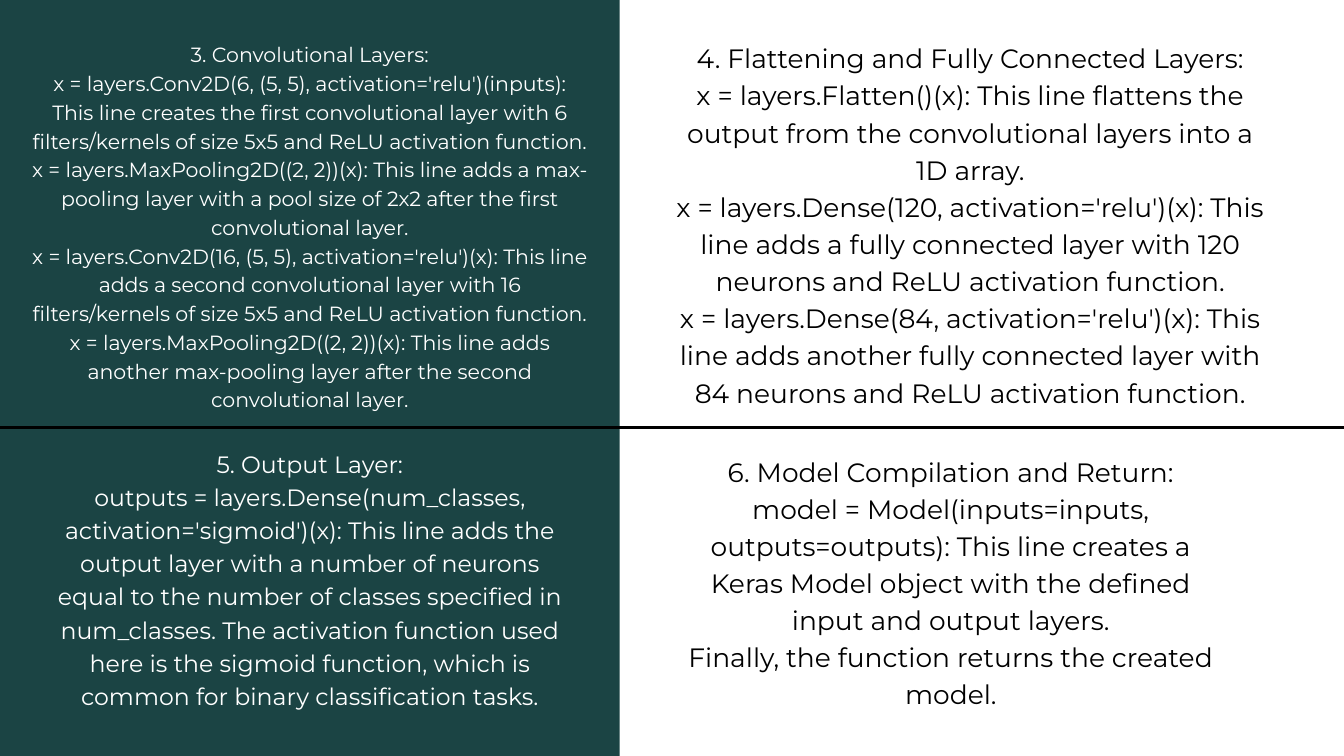
from pptx import Presentation
from pptx.dml.color import RGBColor
from pptx.enum.shapes import MSO_CONNECTOR as CONNECTOR, MSO_SHAPE as SHAPE
from pptx.enum.text import MSO_AUTO_SIZE as AUTO_SIZE, PP_ALIGN as ALIGN
from pptx.util import Pt
from lxml import etree

SLIDE_W, SLIDE_H = 1440, 810
PANEL_W = 663.84
DIVIDER_Y = 457.92
FONT = "Montserrat"
LINE_RATIO = 1.4
GREEN, WHITE, BLACK = "1B4444", "FFFFFF", "000000"
DRAWING_NS = "http://schemas.openxmlformats.org/drawingml/2006/main"

CONVOLUTION = [
    "3. Convolutional Layers:",
    "x = layers.Conv2D(6, (5, 5), activation='relu')(inputs): This line creates the "
    "first convolutional layer with 6 filters/kernels of size 5x5 and ReLU activation function.",
    "x = layers.MaxPooling2D((2, 2))(x): This line adds a max-pooling layer with a "
    "pool size of 2x2 after the first convolutional layer.",
    "x = layers.Conv2D(16, (5, 5), activation='relu')(x): This line adds a second "
    "convolutional layer with 16 filters/kernels of size 5x5 and ReLU activation function.",
    "x = layers.MaxPooling2D((2, 2))(x): This line adds another max-pooling layer "
    "after the second convolutional layer.",
]
FULLY_CONNECTED = [
    "4. Flattening and Fully Connected Layers:",
    "x = layers.Flatten()(x): This line flattens the output from the convolutional "
    "layers into a 1D array.",
    "x = layers.Dense(120, activation='relu')(x): This line adds a fully connected "
    "layer with 120 neurons and ReLU activation function.",
    "x = layers.Dense(84, activation='relu')(x): This line adds another fully "
    "connected layer with 84 neurons and ReLU activation function.",
]
OUTPUT = [
    "5. Output Layer:",
    "outputs = layers.Dense(num_classes, activation='sigmoid')(x): This line adds the "
    "output layer with a number of neurons equal to the number of classes specified in "
    "num_classes. The activation function used here is the sigmoid function, which is "
    "common for binary classification tasks.",
]
COMPILATION = [
    "6. Model Compilation and Return:",
    "model = Model(inputs=inputs, outputs=outputs): This line creates a Keras Model "
    "object with the defined input and output layers.",
    "Finally, the function returns the created model.",
]


def color(hex_code):
    return RGBColor.from_string(hex_code)


def add_panel(slide, box):
    """Plain green background filling the box."""
    panel = slide.shapes.add_shape(SHAPE.RECTANGLE, *map(Pt, box))
    panel.shadow.inherit = False
    panel.fill.solid()
    panel.fill.fore_color.rgb = color(GREEN)
    panel.line.fill.background()


def add_section(slide, quadrant, inset, size, lines, font_size, text_color):
    """Centred heading and explanations, inset from the quadrant's corner."""
    left, top = quadrant[0] + inset[0], quadrant[1] + inset[1]
    section = slide.shapes.add_textbox(*map(Pt, (left, top, *size)))
    frame = section.text_frame
    frame.word_wrap = True
    frame.auto_size = AUTO_SIZE.SHAPE_TO_FIT_TEXT
    frame.margin_left = frame.margin_top = frame.margin_right = frame.margin_bottom = 0
    frame.text = "\n".join(lines)
    for paragraph in frame.paragraphs:
        paragraph.alignment = ALIGN.CENTER
        paragraph.line_spacing = Pt(round(font_size * LINE_RATIO, 1))
        for run in paragraph.runs:
            run.font.name = FONT
            run.font.size = Pt(font_size)
            run.font.color.rgb = color(text_color)


def add_divider(slide, left, y, width):
    divider = slide.shapes.add_connector(
        CONNECTOR.STRAIGHT, Pt(left), Pt(y), Pt(left + width), Pt(y))
    divider.line.color.rgb = color(BLACK)
    divider.line.width = Pt(3)
    etree.SubElement(divider.element.spPr, f"{{{DRAWING_NS}}}effectLst")


def main():
    prs = Presentation()
    prs.slide_width, prs.slide_height = Pt(SLIDE_W), Pt(SLIDE_H)
    slide = prs.slides.add_slide(prs.slide_layouts[6])

    # Left half: white text on green
    add_panel(slide, (0, 0, PANEL_W, SLIDE_H))
    add_section(slide, (0, 0), (32.4, 41), (599, 398.2), CONVOLUTION, 22, WHITE)
    add_section(slide, (0, DIVIDER_Y), (59.8, 19.4), (544.3, 277.2), OUTPUT, 25.3, WHITE)

    # Right half: black text on white
    add_section(slide, (PANEL_W, 0), (56.16, 39.6), (639.4, 388.1),
                FULLY_CONNECTED, 28.4, BLACK)
    add_section(slide, (PANEL_W, DIVIDER_Y), (56.16, 24.5), (597.6, 272.2),
                COMPILATION, 28.4, BLACK)

    # Line between the two rows
    add_divider(slide, 0, DIVIDER_Y, SLIDE_W)
    prs.save("out.pptx")


if __name__ == "__main__":
    main()
